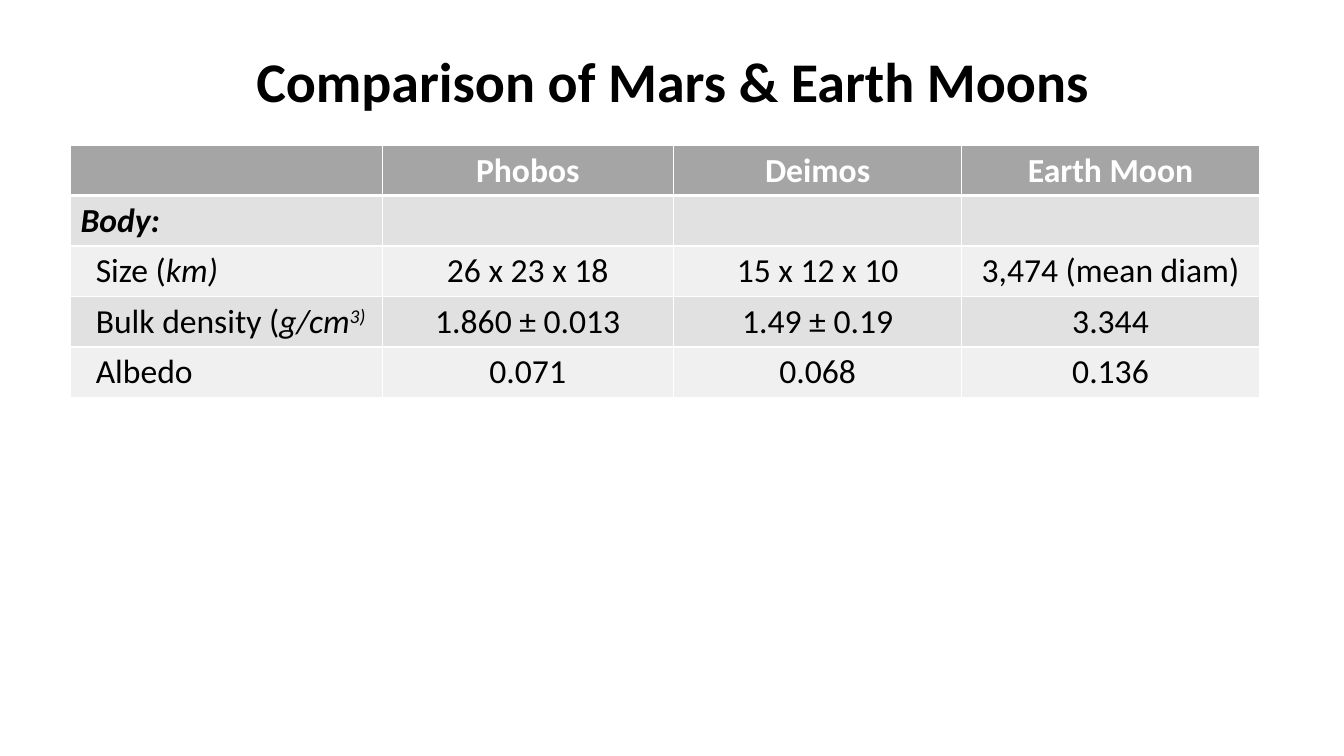
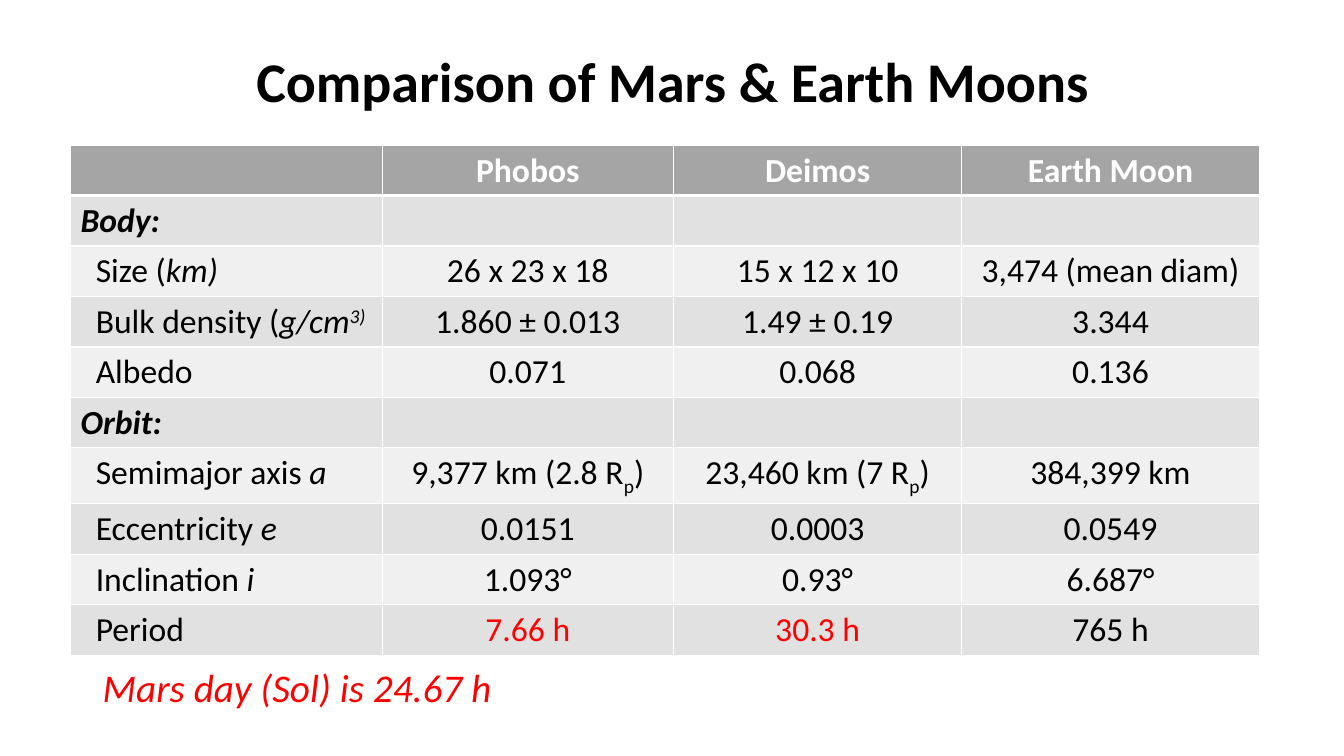
from typing import NamedTuple

from lxml import etree
from pptx import Presentation
from pptx.dml.color import RGBColor
from pptx.enum.text import MSO_ANCHOR, PP_ALIGN
from pptx.oxml.ns import qn
from pptx.util import Inches, Pt

CENTER, LEFT = PP_ALIGN.CENTER, PP_ALIGN.LEFT
MIDDLE, TOP = MSO_ANCHOR.MIDDLE, MSO_ANCHOR.TOP

FONT = "Calibri"
BLACK, WHITE, RED = "000000", "FFFFFF", "FF0000"
HEADER_FILL = "A5A5A5"
BAND_FILLS = ("E1E1E1", "F0F0F0")
COLUMN_WIDTHS = (3.09, 2.89, 2.86, 2.95)
ROW_HEIGHT = 0.5
CELL_MARGIN, PROPERTY_MARGIN = 0.1, 0.25
TITLE = "Comparison of Mars & Earth Moons"
MOONS = ("Phobos", "Deimos", "Earth Moon")


class Piece(NamedTuple):
    text: str
    italic: bool = False
    baseline: int = 0
    color: str = BLACK


class Row(NamedTuple):
    label: tuple[Piece, ...]
    values: tuple[tuple[Piece, ...], ...] = ()


class Box(NamedTuple):
    left: float
    top: float
    width: float
    height: float


def plain(*values: str) -> tuple[tuple[Piece, ...], ...]:
    return tuple((Piece(value),) for value in values)


def planet_radii(start: str) -> tuple[Piece, ...]:
    return Piece(start), Piece("p", baseline=-25), Piece(")")


BODY_ROWS = (
    Row((Piece("Body:", italic=True),)),
    Row((Piece("Size ("), Piece("km)", italic=True)),
        plain("26 x 23 x 18", "15 x 12 x 10", "3,474 (mean diam)")),
    Row((Piece("Bulk density ("), Piece("g/cm", italic=True),
         Piece("3)", italic=True, baseline=30)),
        plain("1.860 ± 0.013", "1.49 ± 0.19", "3.344")),
    Row((Piece("Albedo"),), plain("0.071", "0.068", "0.136")),
)
ORBIT_ROWS = (
    Row((Piece("Orbit:", italic=True),)),
    Row((Piece("Semimajor axis "), Piece("a", italic=True)),
        (planet_radii("9,377 km (2.8 R"), planet_radii("23,460 km (7 R"),
         (Piece("384,399 km"),))),
    Row((Piece("Eccentricity "), Piece("e", italic=True)),
        plain("0.0151", "0.0003", "0.0549")),
    Row((Piece("Inclination "), Piece("i", italic=True)),
        plain("1.093°", "0.93°", "6.687°")),
    Row((Piece("Period"),),
        ((Piece("7.66 h", color=RED),), (Piece("30.3 h", color=RED),),
         (Piece("765 h"),))),
)


def rgb(color: str) -> RGBColor:
    return RGBColor.from_string(color)


def write(paragraph, pieces: tuple[Piece, ...], size: float,
          bold: bool = False, align=LEFT) -> None:
    paragraph.alignment = align
    for piece in pieces:
        run = paragraph.add_run()
        run.text = piece.text
        formats = {"name": FONT, "size": Pt(size), "bold": bold,
                   "italic": piece.italic}
        for attribute, value in formats.items():
            setattr(run.font, attribute, value)
        run.font.color.rgb = rgb(piece.color)
        if piece.baseline:
            run.font._element.set("baseline", str(piece.baseline * 1000))


def add_text(slide, box: Box, piece: Piece, size: float, bold: bool = False,
             align=LEFT, anchor=TOP, wrap: bool = True):
    frame = slide.shapes.add_textbox(*map(Inches, box)).text_frame
    frame.word_wrap = wrap
    frame.vertical_anchor = anchor
    write(frame.paragraphs[0], (piece,), size, bold, align)
    return frame


def set_borders(cell, top: float, bottom: float) -> None:
    properties = cell._tc.get_or_add_tcPr()
    widths = {"a:lnL": 1, "a:lnR": 1, "a:lnT": top, "a:lnB": bottom}
    for tag, width in widths.items():
        line = etree.SubElement(properties, qn(tag), w=str(Pt(width)))
        fill = etree.SubElement(line, qn("a:solidFill"))
        etree.SubElement(fill, qn("a:srgbClr"), val=WHITE)


def style_cell(cell, fill: str, top: float = 1, bottom: float = 1) -> None:
    set_borders(cell, top, bottom)
    cell.fill.solid()
    cell.fill.fore_color.rgb = rgb(fill)


def add_moon_table(slide, rows: tuple[Row, ...]) -> None:
    box = Box(0.7, 1.44, sum(COLUMN_WIDTHS), ROW_HEIGHT * (len(rows) + 1))
    table = slide.shapes.add_table(
        len(rows) + 1, len(COLUMN_WIDTHS), *map(Inches, box)).table
    table.horz_banding = False
    for column, width in zip(table.columns, COLUMN_WIDTHS):
        column.width = Inches(width)
    for index in range(len(COLUMN_WIDTHS)):
        style_cell(table.cell(0, index), HEADER_FILL, bottom=3)
    for index, moon in enumerate(MOONS, 1):
        write(table.cell(0, index).text_frame.paragraphs[0],
              (Piece(moon, color=WHITE),), 24, True, CENTER)
    for number, row in enumerate(rows, 1):
        is_section = not row.values
        for index in range(len(COLUMN_WIDTHS)):
            style_cell(table.cell(number, index), BAND_FILLS[(number - 1) % 2],
                       top=3 if number == 1 else 1)
        label = table.cell(number, 0)
        label.margin_left = Inches(CELL_MARGIN if is_section else PROPERTY_MARGIN)
        label.margin_right = Inches(0.05)
        write(label.text_frame.paragraphs[0], row.label, 24, is_section)
        for index, value in enumerate(row.values, 1):
            write(table.cell(number, index).text_frame.paragraphs[0],
                  value, 24, align=CENTER)


def add_comparison(deck, rows: tuple[Row, ...]):
    slide = deck.slides.add_slide(deck.slide_layouts[6])
    title = add_text(slide, Box(0.92, 0.4, 11.5, 0.88), Piece(TITLE), 40,
                     True, CENTER, MIDDLE)
    title.paragraphs[0].line_spacing = 0.9
    add_moon_table(slide, rows)
    return slide


def main() -> None:
    deck = Presentation()
    deck.slide_width, deck.slide_height = Inches(13.33), Inches(7.5)
    add_comparison(deck, BODY_ROWS)
    orbit_slide = add_comparison(deck, BODY_ROWS + ORBIT_ROWS)
    add_text(orbit_slide, Box(0.92, 6.53, 4.09, 0.57),
             Piece("Mars day (Sol) is 24.67 h", italic=True, color=RED), 28,
             wrap=False)
    deck.save("out.pptx")


if __name__ == "__main__":
    main()
